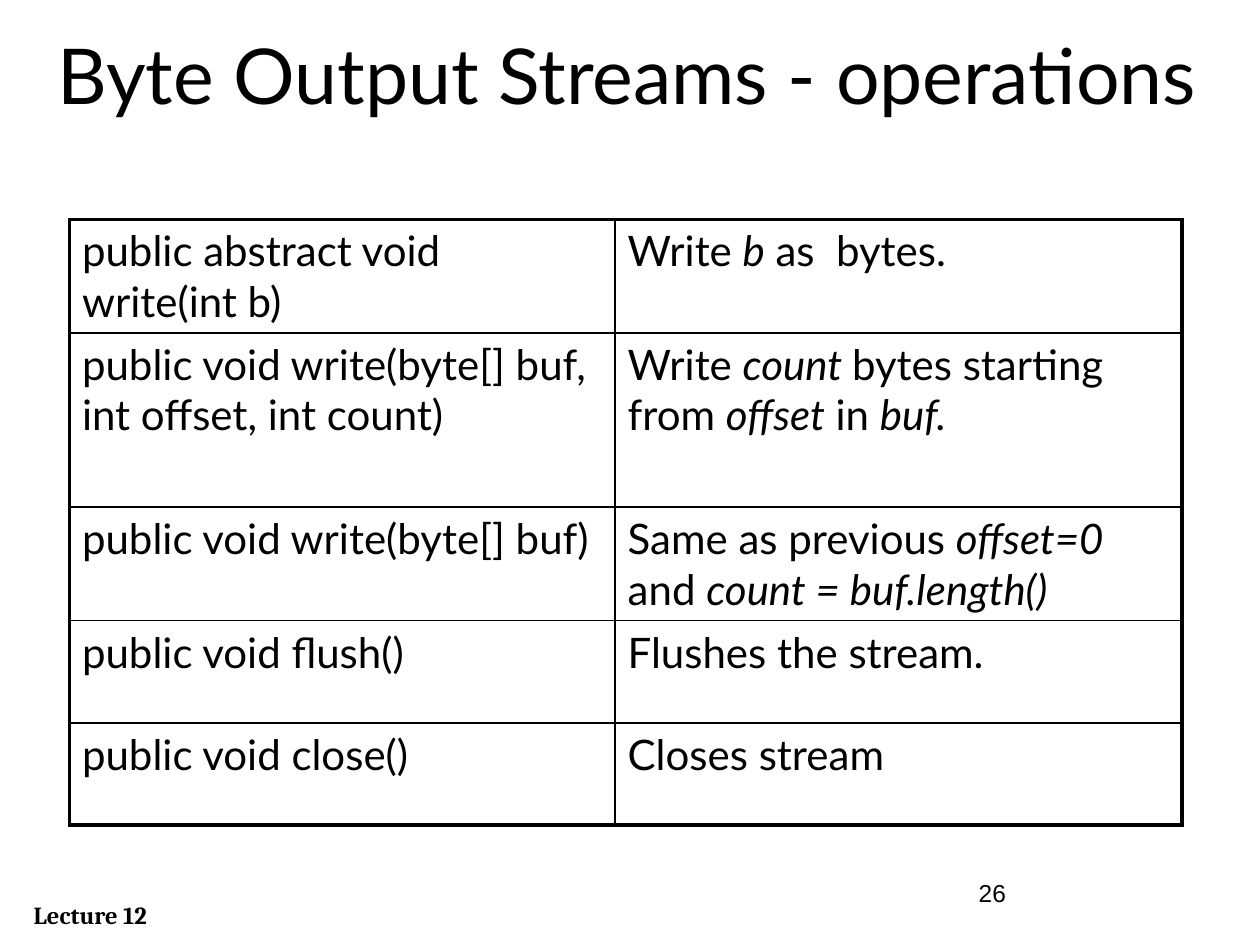
from dataclasses import dataclass

from lxml.etree import SubElement
from pptx import Presentation
from pptx.dml.color import RGBColor
from pptx.enum.text import MSO_ANCHOR, MSO_AUTO_SIZE, PP_ALIGN
from pptx.oxml.ns import qn
from pptx.util import Cm, Pt


@dataclass(frozen=True)
class Theme:
    ink: str = "000000"
    body_font: str = "Lato"
    footer_font: str = "Cambria"
    number_font: str = "Arial"
    title_size: float = 44
    table_size: float = 24
    footer_size: float = 14
    outer_line: float = 2.25
    inner_line: float = 1


THEME = Theme()

# Words between asterisks are set in italics.
OPERATIONS = [
    ("public abstract void write(int b)", "Write *b* as  bytes."),
    ("public void write(byte[] buf, int offset, int count)",
     "Write *count *bytes starting from *offset* in *buf.*"),
    ("public void write(byte[] buf)",
     "Same as previous *offset=0* and *count = buf.length()*"),
    ("public void flush()", "Flushes the stream."),
    ("public void close()", "Closes stream"),
]
COLUMN_WIDTHS = [11, 11.43]
ROW_HEIGHTS = [2.29, 3.51, 2.29, 2.06, 2.06]


def write_text(frame, text, *, font, size, bold=False, align=PP_ALIGN.LEFT):
    """Fill a text frame; every second part between asterisks is italic."""
    frame.word_wrap = True
    paragraph = frame.paragraphs[0]
    paragraph.alignment = align
    for index, part in enumerate(text.split("*")):
        if not part:
            continue
        run = paragraph.add_run()
        run.text = part
        run.font.name = font
        run.font.size = Pt(size)
        run.font.bold = bold
        run.font.italic = index % 2 == 1
        run.font.color.rgb = RGBColor.from_string(THEME.ink)


def set_borders(cell, widths):
    """Draw the left, right, top and bottom lines, with widths in points."""
    properties = cell._tc.get_or_add_tcPr()
    for position, (side, width) in enumerate(zip("LRTB", widths)):
        line = SubElement(properties, qn(f"a:ln{side}"), w=str(Pt(width)))
        fill = SubElement(line, qn("a:solidFill"))
        SubElement(fill, qn("a:srgbClr"), val=THEME.ink)
        properties.insert(position, line)


def add_title(slide, text, left, top, width, height):
    title = slide.shapes.title
    title.left, title.top = Cm(left), Cm(top)
    title.width, title.height = Cm(width), Cm(height)
    frame = title.text_frame
    frame.vertical_anchor = MSO_ANCHOR.TOP
    frame.auto_size = MSO_AUTO_SIZE.NONE
    write_text(frame, text, font=THEME.body_font, size=THEME.title_size,
               align=PP_ALIGN.CENTER)


def add_operations_table(slide, left, top):
    shape = slide.shapes.add_table(
        len(OPERATIONS), len(COLUMN_WIDTHS), Cm(left), Cm(top),
        Cm(sum(COLUMN_WIDTHS)), Cm(sum(ROW_HEIGHTS)))
    table = shape.table
    table.first_row = False
    table.horz_banding = False
    for column, width in zip(table.columns, COLUMN_WIDTHS):
        column.width = Cm(width)
    for row, height in zip(table.rows, ROW_HEIGHTS):
        row.height = Cm(height)

    last_row, last_column = len(OPERATIONS) - 1, len(COLUMN_WIDTHS) - 1
    for row_index, texts in enumerate(OPERATIONS):
        for column_index, text in enumerate(texts):
            cell = table.cell(row_index, column_index)
            cell.fill.background()
            on_edge = (column_index == 0, column_index == last_column,
                       row_index == 0, row_index == last_row)
            set_borders(cell, [THEME.outer_line if edge else THEME.inner_line
                               for edge in on_edge])
            write_text(cell.text_frame, text, font=THEME.body_font,
                       size=THEME.table_size)


def add_footer_text(slide, text, left, top, width, height, **text_format):
    box = slide.shapes.add_textbox(Cm(left), Cm(top), Cm(width), Cm(height))
    write_text(box.text_frame, text, size=THEME.footer_size, **text_format)


def main():
    presentation = Presentation()
    presentation.slide_width, presentation.slide_height = Cm(25.4), Cm(19.05)
    slide = presentation.slides.add_slide(presentation.slide_layouts[5])
    add_footer_text(slide, "Lecture 12", 0.43, 18.01, 5.08, 0.86,
                    font=THEME.footer_font, bold=True)
    add_title(slide, "Byte Output Streams - operations", 0.43, 0.43, 24.43, 2.74)
    add_operations_table(slide, 1.4, 4.42)
    add_footer_text(slide, "26", 19.48, 17.58, 5.28, 1.27, font=THEME.number_font)
    presentation.save("out.pptx")


if __name__ == "__main__":
    main()
